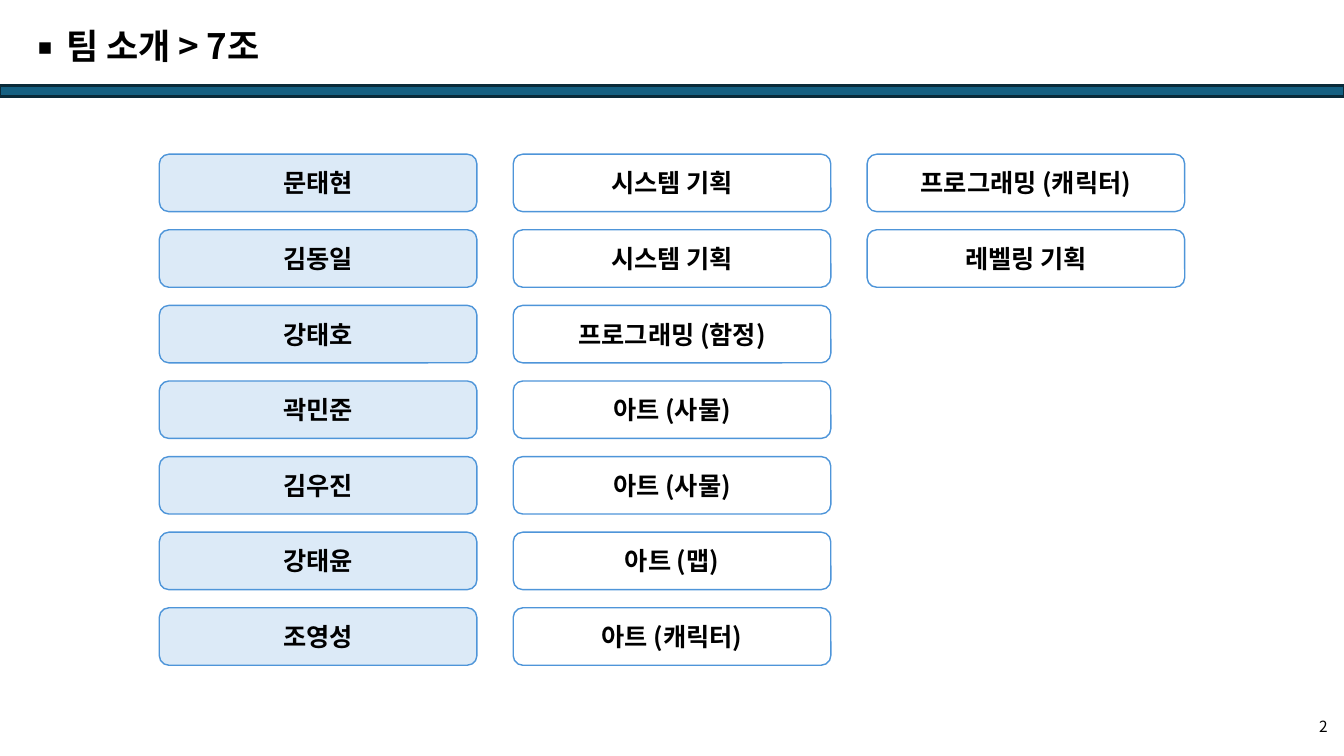
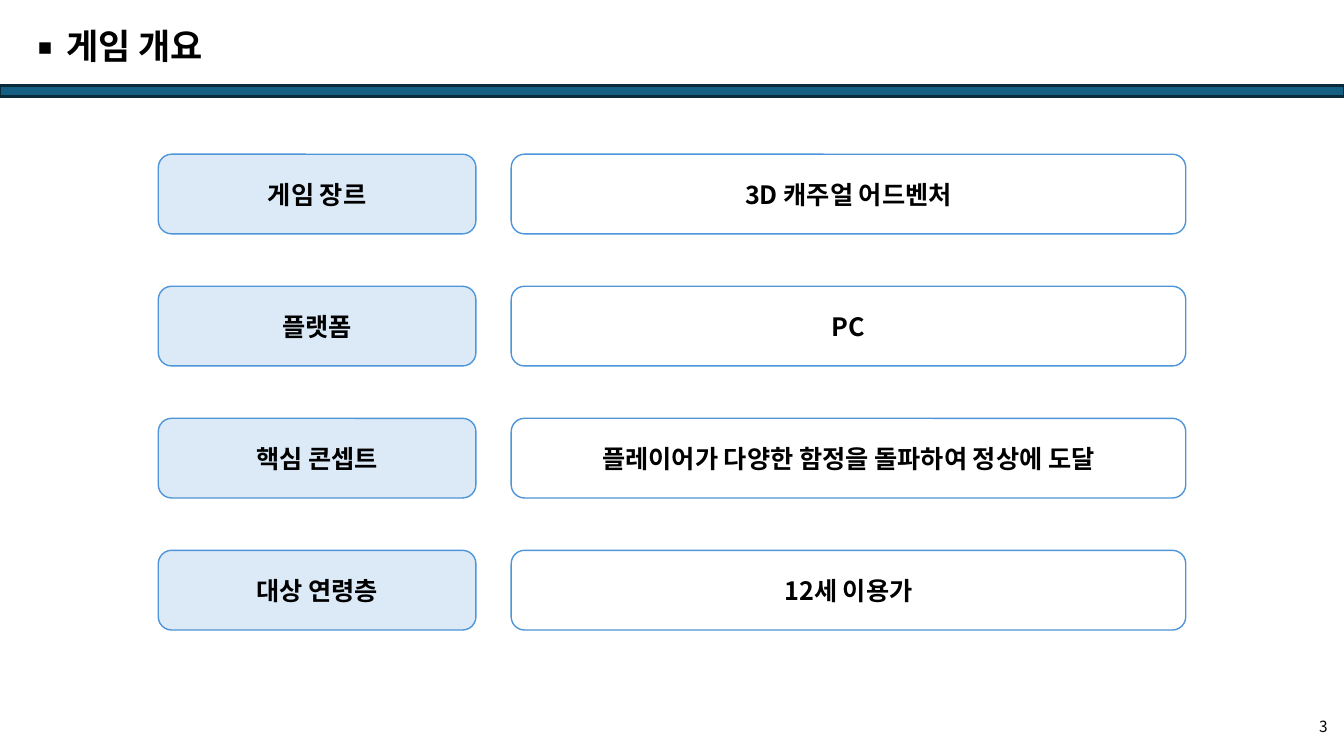
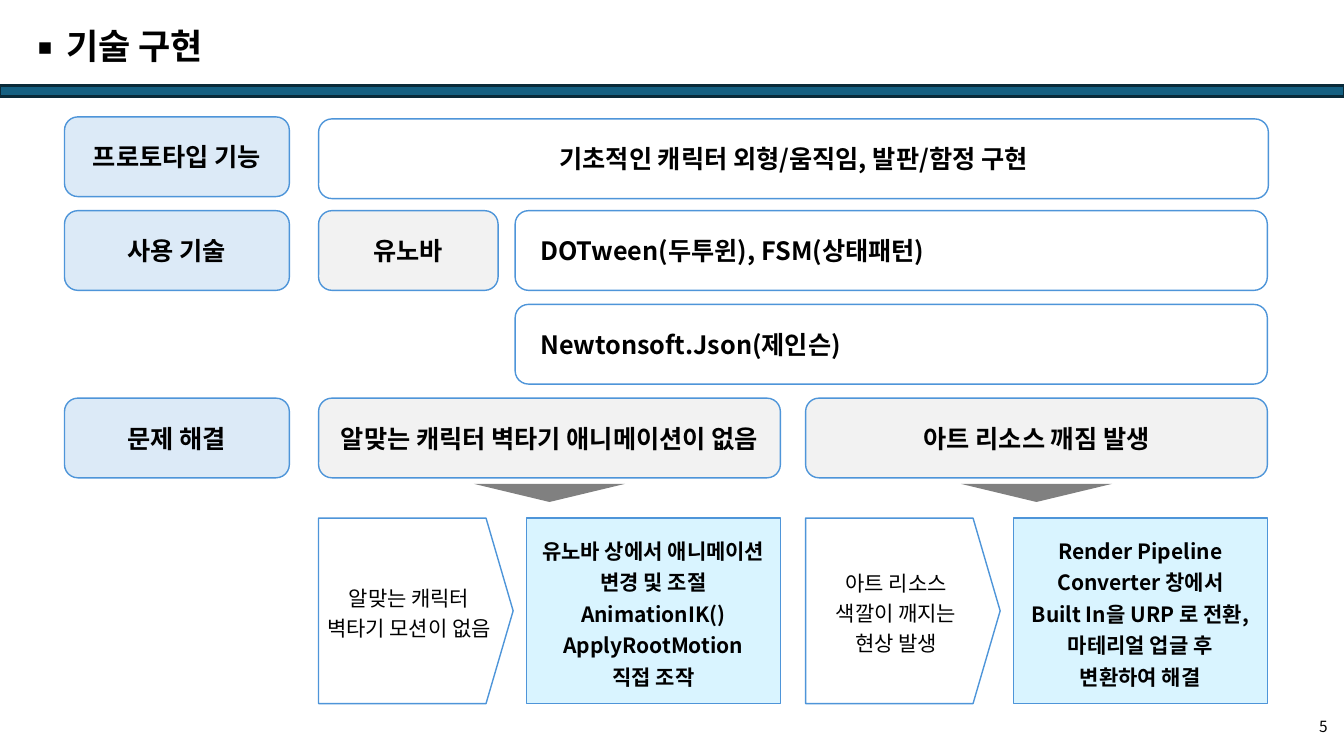
from lxml import etree
from pptx import Presentation
from pptx.dml.color import RGBColor
from pptx.enum.shapes import MSO_SHAPE
from pptx.enum.text import MSO_ANCHOR, PP_ALIGN
from pptx.oxml.ns import qn
from pptx.util import Inches, Pt

RECT = MSO_SHAPE.RECTANGLE
ROUNDED = MSO_SHAPE.ROUNDED_RECTANGLE
PENTAGON = MSO_SHAPE.PENTAGON
MERGE = MSO_SHAPE.FLOWCHART_MERGE
LEFT, CENTER = PP_ALIGN.LEFT, PP_ALIGN.CENTER
MIDDLE = MSO_ANCHOR.MIDDLE

FONT = "Noto Sans CJK KR"
BLACK = RGBColor(0x00, 0x00, 0x00)
TEAL = RGBColor(0x15, 0x60, 0x82)
DARK_TEAL = RGBColor(0x09, 0x2A, 0x39)
BLUE = RGBColor(0x4E, 0x95, 0xD9)
PALE_BLUE = RGBColor(0xDC, 0xEA, 0xF7)
CYAN = RGBColor(0xD9, 0xF4, 0xFF)
PALE_GRAY = RGBColor(0xF2, 0xF2, 0xF2)
GRAY = RGBColor(0x80, 0x80, 0x80)


def add_shape(slide, geometry, x, y, w, h, fill=None, line=BLUE, line_width=1, adjust=None):
    shape = slide.shapes.add_shape(geometry, Inches(x), Inches(y), Inches(w), Inches(h))
    shape.shadow.inherit = False
    if fill is None:
        shape.fill.background()
    else:
        shape.fill.solid()
        shape.fill.fore_color.rgb = fill
    if line is None:
        shape.line.fill.background()
    else:
        shape.line.color.rgb = line
        shape.line.width = Pt(line_width)
    if adjust is not None:
        shape.adjustments[0] = adjust
    return shape


def write(shape, text, size=18, bold=True, align=CENTER, spacing=None, left=0, bottom=0):
    frame = shape.text_frame
    frame.word_wrap = True
    frame.vertical_anchor = MIDDLE
    frame.margin_left, frame.margin_bottom = Inches(left), Inches(bottom)
    frame.margin_top = frame.margin_right = 0
    frame.text = text
    for paragraph in frame.paragraphs:
        paragraph.alignment = align
        if spacing:
            paragraph.line_spacing = spacing
        for run in paragraph.runs:
            run.font.size = Pt(size)
            run.font.bold = bold
            run.font.name = FONT
            run.font.color.rgb = BLACK
            etree.SubElement(run.font._element, qn("a:ea"), typeface=FONT)


deck = Presentation()
deck.slide_width, deck.slide_height = Inches(13.33), Inches(7.5)
slides = []
for heading, page in [("팀 소개 > 7조", "2"), ("게임 개요", "3"), ("기술 구현", "5")]:
    slide = deck.slides.add_slide(deck.slide_layouts[6])
    slides.append(slide)
    add_shape(slide, RECT, 0, 0.85, 13.33, 0.11, fill=TEAL, line=DARK_TEAL, line_width=2)
    title = slide.shapes.add_textbox(Inches(0.15), Inches(0.17), Inches(9.96), Inches(0.57))
    write(title, heading, size=25, align=LEFT, left=0.08)
    properties = title.text_frame.paragraphs[0]._p.get_or_add_pPr()
    properties.set("marL", str(Inches(0.38)))
    properties.set("indent", str(Inches(-0.37)))
    bullet_color = etree.SubElement(properties, qn("a:buClr"))
    etree.SubElement(bullet_color, qn("a:srgbClr"), val=str(BLACK))
    etree.SubElement(properties, qn("a:buSzPct"), val="120000")
    etree.SubElement(properties, qn("a:buFont"), typeface=FONT)
    etree.SubElement(properties, qn("a:buChar"), char="▪")
    page_number = add_shape(slide, ROUNDED, 12.93, 7.15, 0.39, 0.28, line=None)
    write(page_number, page, size=11, bold=False, bottom=0.16)

team, overview, technology = slides

members = [
    ["문태현", "시스템 기획", "프로그래밍 (캐릭터)"],
    ["김동일", "시스템 기획", "레벨링 기획"],
    ["강태호", "프로그래밍 (함정)"],
    ["곽민준", "아트 (사물)"],
    ["김우진", "아트 (사물)"],
    ["강태윤", "아트 (맵)"],
    ["조영성", "아트 (캐릭터)"],
]
for row, member in enumerate(members):
    for column, entry in enumerate(member):
        fill = PALE_BLUE if column == 0 else None
        box = add_shape(team, ROUNDED, 1.58 + 3.51 * column, 1.53 + 0.75 * row, 3.15, 0.57, fill)
        write(box, entry)

facts = [
    ("게임 장르", "3D 캐주얼 어드벤처"),
    ("플랫폼", "PC"),
    ("핵심 콘셉트", "플레이어가 다양한 함정을 돌파하여 정상에 도달"),
    ("대상 연령층", "12세 이용가"),
]
for row, (label, value) in enumerate(facts):
    y = 1.53 + 1.31 * row
    write(add_shape(overview, ROUNDED, 1.57, y, 3.15, 0.79, PALE_BLUE), label)
    write(add_shape(overview, ROUNDED, 5.07, y, 6.69, 0.79), value)

FEATURE_Y, TOOL_Y, LIBRARY_Y, PROBLEM_Y = [1.16 + 0.93 * row for row in range(4)]
for label, y in [("프로토타입 기능", FEATURE_Y), ("사용 기술", TOOL_Y), ("문제 해결", PROBLEM_Y)]:
    write(add_shape(technology, ROUNDED, 0.64, y, 2.23, 0.79, PALE_BLUE), label)

features = add_shape(technology, ROUNDED, 3.16, FEATURE_Y + 0.02, 9.42, 0.79)
write(features, "기초적인 캐릭터 외형/움직임, 발판/함정 구현")
engine = add_shape(technology, ROUNDED, 3.16, TOOL_Y, 1.78, 0.79, PALE_GRAY)
write(engine, "유노바")
for libraries, y in [
    ("DOTween(두투윈), FSM(상태패턴)", TOOL_Y),
    ("Newtonsoft.Json(제인슨)", LIBRARY_Y),
]:
    box = add_shape(technology, ROUNDED, 5.11, y, 7.46, 0.79)
    write(box, libraries, align=LEFT, left=0.21)

problems = [
    (
        "알맞는 캐릭터 벽타기 애니메이션이 없음",
        "알맞는 캐릭터 벽타기 모션이 없음",
        "유노바 상에서 애니메이션 변경 및 조절\nAnimationIK()\nApplyRootMotion\n직접 조작",
    ),
    (
        "아트 리소스 깨짐 발생",
        "아트 리소스\n색깔이 깨지는\n현상 발생",
        "Render Pipeline\nConverter 창에서\nBuilt In을 URP 로 전환,\n마테리얼 업글 후\n변환하여 해결",
    ),
]
for column, (problem, symptom, solution) in enumerate(problems):
    x = 3.16 + 4.83 * column
    write(add_shape(technology, ROUNDED, x, PROBLEM_Y, 4.58, 0.79, PALE_GRAY), problem)
    add_shape(technology, MERGE, x + 1.54, 4.8, 1.5, 0.18, GRAY, line=None)
    symptom_box = add_shape(technology, PENTAGON, x, 5.14, 1.93, 1.84, adjust=0.146)
    write(symptom_box, symptom, size=15, bold=False, spacing=1.2)
    solution_box = add_shape(technology, PENTAGON, x + 2.06, 5.14, 2.52, 1.84, CYAN, adjust=0)
    write(solution_box, solution, size=15, spacing=1.25)

deck.save("out.pptx")
